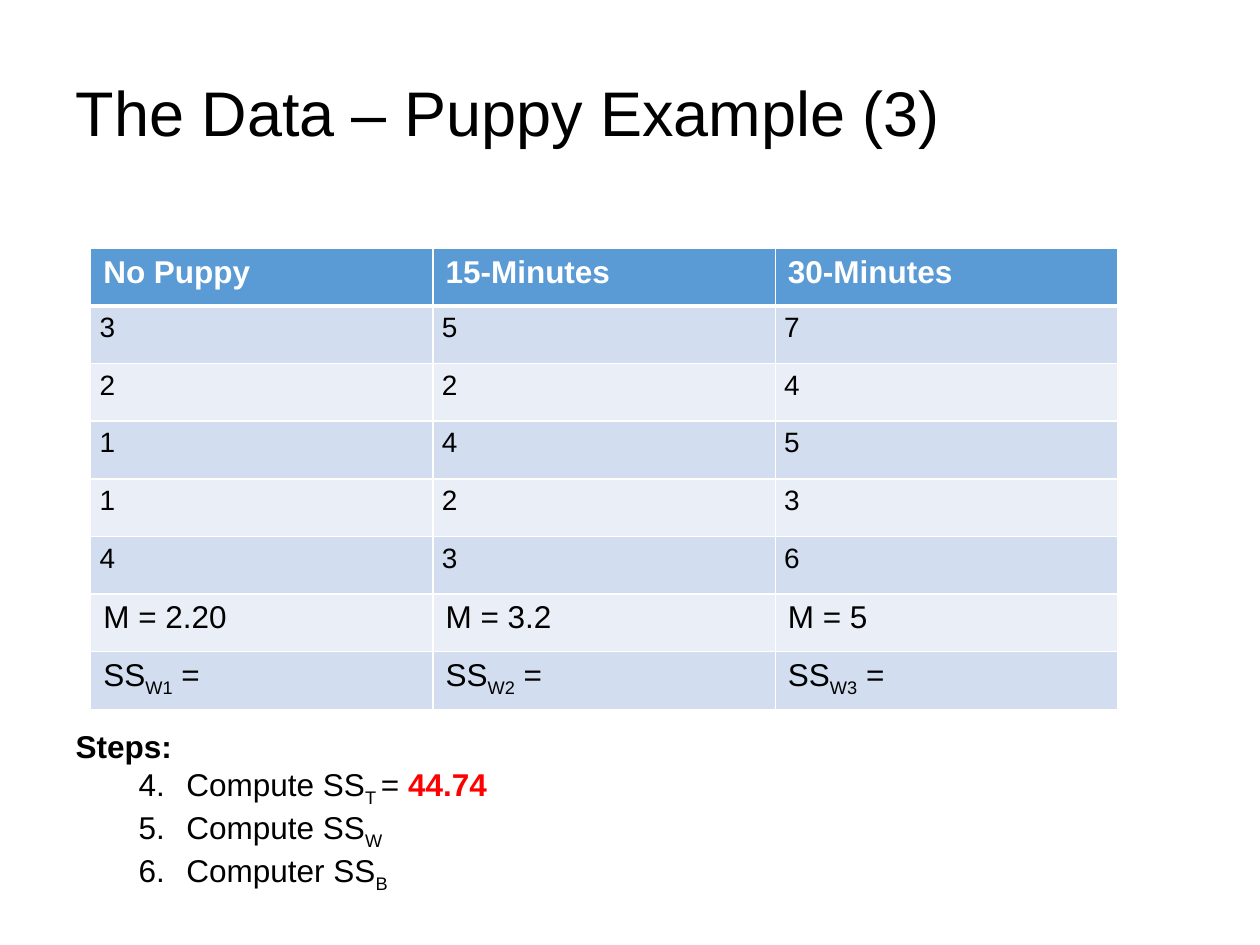
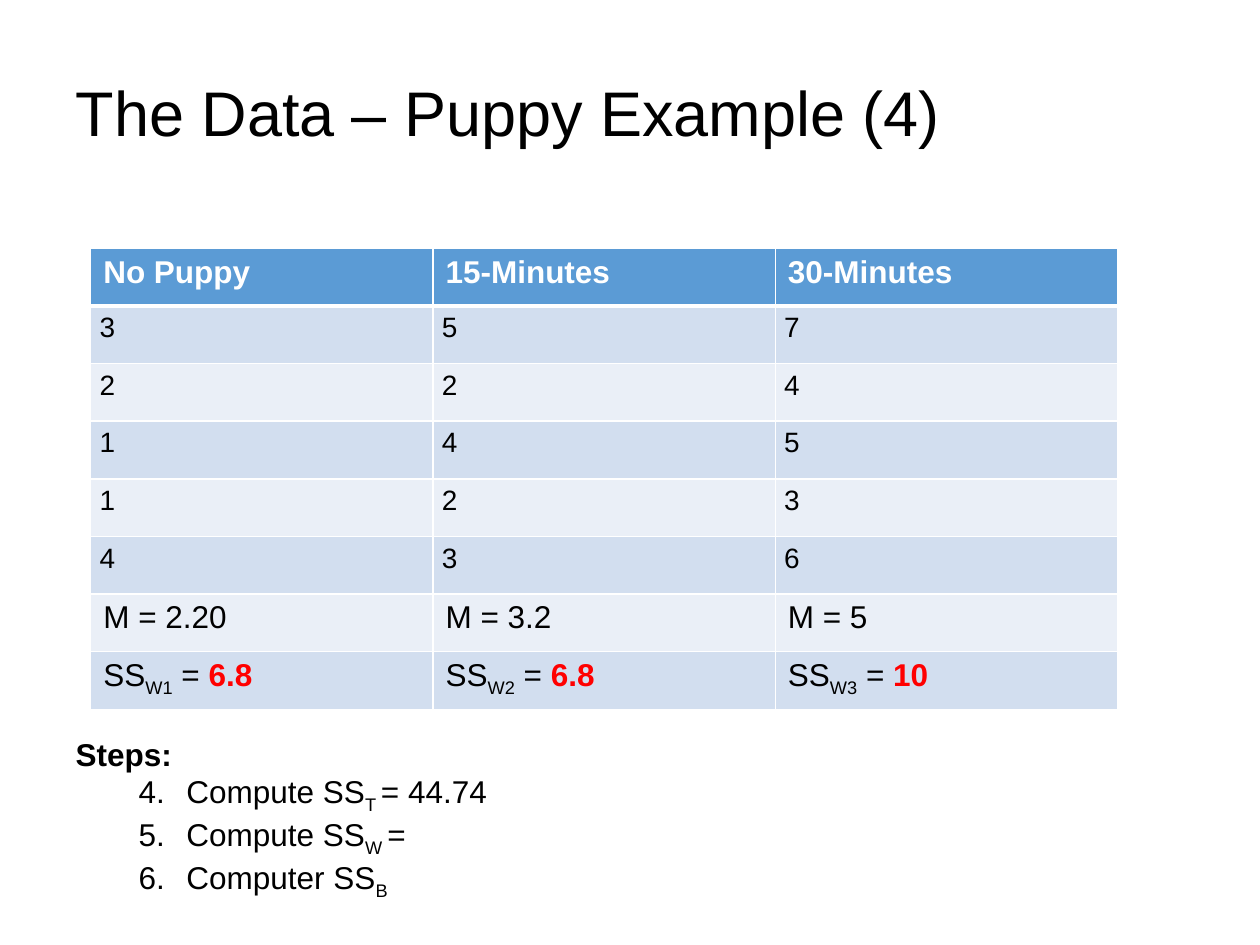
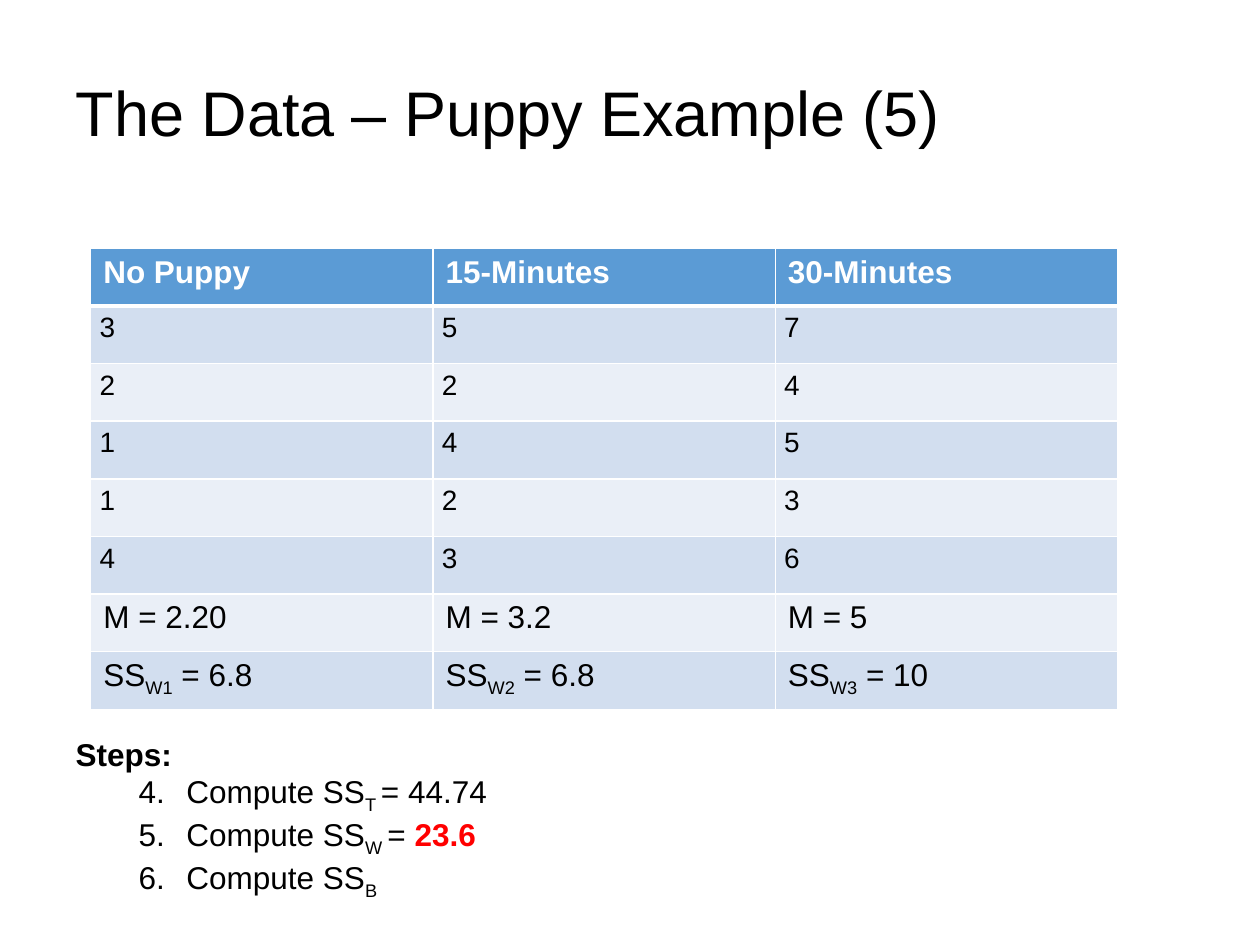
from dataclasses import dataclass

from lxml import etree
from pptx import Presentation
from pptx.dml.color import RGBColor
from pptx.enum.text import MSO_ANCHOR, MSO_AUTO_SIZE, PP_ALIGN
from pptx.oxml.ns import qn
from pptx.util import Inches, Pt

LEFT = PP_ALIGN.LEFT
TOP = MSO_ANCHOR.TOP
MIDDLE = MSO_ANCHOR.MIDDLE
FIT_SHAPE = MSO_AUTO_SIZE.SHAPE_TO_FIT_TEXT

FONT = "Arial"
COLORS = {
    "text": "000000",
    "answer": "FF0000",
    "white": "FFFFFF",
    "header": "5B9BD5",
    "band_dark": "D2DEEF",
    "band_light": "EAEFF7",
}
GROUPS = ["No Puppy", "15-Minutes", "30-Minutes"]
SCORES = [[3, 5, 7], [2, 2, 4], [1, 4, 5], [1, 2, 3], [4, 3, 6]]
MEANS = ["2.20", "3.2", "5"]
FIRST_STEP = 4


@dataclass(frozen=True)
class Span:
    text: str
    size: int = 18
    color: str = "text"
    bold: bool = False
    subscript: bool = False


@dataclass(frozen=True)
class PuppySlide:
    number: int
    steps_top: float
    sums: list[list[Span]]
    steps: list[list[Span]]


def answer(text: str) -> Span:
    return Span(text, color="answer", bold=True)


def sum_of_squares(lead: str, index: str, *rest: Span) -> list[Span]:
    return [Span(f"{lead}SS"), Span(index, subscript=True), *rest]


def group_sums(*endings: list[Span]) -> list[list[Span]]:
    return [sum_of_squares("", f"W{number}", *ending) for number, ending in enumerate(endings, 1)]


TOTAL_STEP = sum_of_squares("Compute ", "T ", Span("= 44.74"))
BETWEEN_STEP = sum_of_squares("Computer ", "B")
SLIDES = [
    PuppySlide(
        3,
        5.72,
        group_sums(*[[Span(" =")]] * 3),
        [
            sum_of_squares("Compute ", "T ", Span("= "), answer("44.74")),
            sum_of_squares("Compute ", "W"),
            BETWEEN_STEP,
        ],
    ),
    PuppySlide(
        4,
        5.78,
        group_sums(*[[Span(" = "), answer(value)] for value in ("6.8", "6.8", "10")]),
        [TOTAL_STEP, sum_of_squares("Compute ", "W ", Span("=")), BETWEEN_STEP],
    ),
    PuppySlide(
        5,
        5.78,
        group_sums(*[[Span(f" = {value}")] for value in ("6.8", "6.8", "10")]),
        [
            TOTAL_STEP,
            sum_of_squares("Compute ", "W ", Span("= "), answer("23.6")),
            sum_of_squares("Compute ", "B"),
        ],
    ),
]


def write_spans(para, spans: list[Span]) -> None:
    for span in spans:
        run = para.add_run()
        run.text = span.text
        run.font.name = FONT
        run.font.size = Pt(span.size)
        run.font.bold = span.bold
        run.font.color.rgb = RGBColor.from_string(COLORS[span.color])
        if span.subscript:
            run.font._element.set("baseline", "-25000")


def place(box, left: float, top: float, width: float, height: float) -> None:
    box.left, box.top = Inches(left), Inches(top)
    box.width, box.height = Inches(width), Inches(height)


def add_title(page, text: str) -> None:
    title = page.shapes.title
    place(title, 0.5, 0.3, 9, 1.25)
    title.text_frame.vertical_anchor = MIDDLE
    para = title.text_frame.paragraphs[0]
    para.alignment = LEFT
    para.line_spacing = 0.9
    write_spans(para, [Span(text, size=36)])


def set_borders(cell, top: int, bottom: int) -> None:
    properties = cell._tc.get_or_add_tcPr()
    widths = {"a:lnL": 1, "a:lnR": 1, "a:lnT": top, "a:lnB": bottom}
    for position, (tag, width) in enumerate(widths.items()):
        line = etree.Element(qn(tag), w=str(Pt(width)))
        fill = etree.SubElement(line, qn("a:solidFill"))
        etree.SubElement(fill, qn("a:srgbClr"), val=COLORS["white"])
        properties.insert(position, line)


def add_data_table(page, sums: list[list[Span]]) -> None:
    rows = [
        [[Span(name, color="white", bold=True)] for name in GROUPS],
        *[[[Span(str(score), size=16)] for score in scores] for scores in SCORES],
        [[Span(f"M = {mean}")] for mean in MEANS],
        sums,
    ]
    frame = page.shapes.add_table(
        len(rows), len(GROUPS), Inches(0.72), Inches(1.97), Inches(8.15), Inches(3.66)
    )
    table = frame.table
    table.horz_banding = False
    for row_index, row in enumerate(rows):
        band = "header" if row_index == 0 else "band_dark" if row_index % 2 else "band_light"
        is_score = 1 <= row_index <= len(SCORES)
        for column_index, spans in enumerate(row):
            cell = table.cell(row_index, column_index)
            cell.fill.solid()
            cell.fill.fore_color.rgb = RGBColor.from_string(COLORS[band])
            set_borders(cell, 3 if row_index == 1 else 1, 3 if row_index == 0 else 1)
            para = cell.text_frame.paragraphs[0]
            if is_score:
                cell.vertical_anchor = MIDDLE
                cell.margin_left = cell.margin_right = Inches(0.07)
                cell.margin_top = cell.margin_bottom = 0
                para.line_spacing = Pt(10)
                para.space_after = Pt(12)
            write_spans(para, spans)


def set_bullet(para, margin: float, indent: float, tag: str, **attributes: str) -> None:
    properties = para._p.get_or_add_pPr()
    properties.set("marL", str(Inches(margin)))
    properties.set("indent", str(Inches(indent)))
    etree.SubElement(properties, qn(tag), **attributes)


def add_steps(page, top: float, steps: list[list[Span]]) -> None:
    box = page.placeholders[1]
    place(box, 0.5, top, 7.95, 1.92)
    frame = box.text_frame
    frame.auto_size = FIT_SHAPE
    frame.vertical_anchor = TOP
    heading = frame.paragraphs[0]
    set_bullet(heading, 0, 0, "a:buNone")
    heading.space_before = Pt(0)
    write_spans(heading, [Span("Steps:", bold=True)])
    for spans in steps:
        para = frame.add_paragraph()
        para.level = 1
        set_bullet(
            para, 0.88, -0.38, "a:buAutoNum", type="arabicPeriod", startAt=str(FIRST_STEP)
        )
        para.space_before = Pt(0)
        write_spans(para, spans)


def main() -> None:
    deck = Presentation()
    deck.slide_width, deck.slide_height = Inches(10), Inches(7.5)
    for slide in SLIDES:
        page = deck.slides.add_slide(deck.slide_layouts[1])
        add_title(page, f"The Data – Puppy Example ({slide.number})")
        add_data_table(page, slide.sums)
        add_steps(page, slide.steps_top, slide.steps)
    deck.save("out.pptx")


if __name__ == "__main__":
    main()
